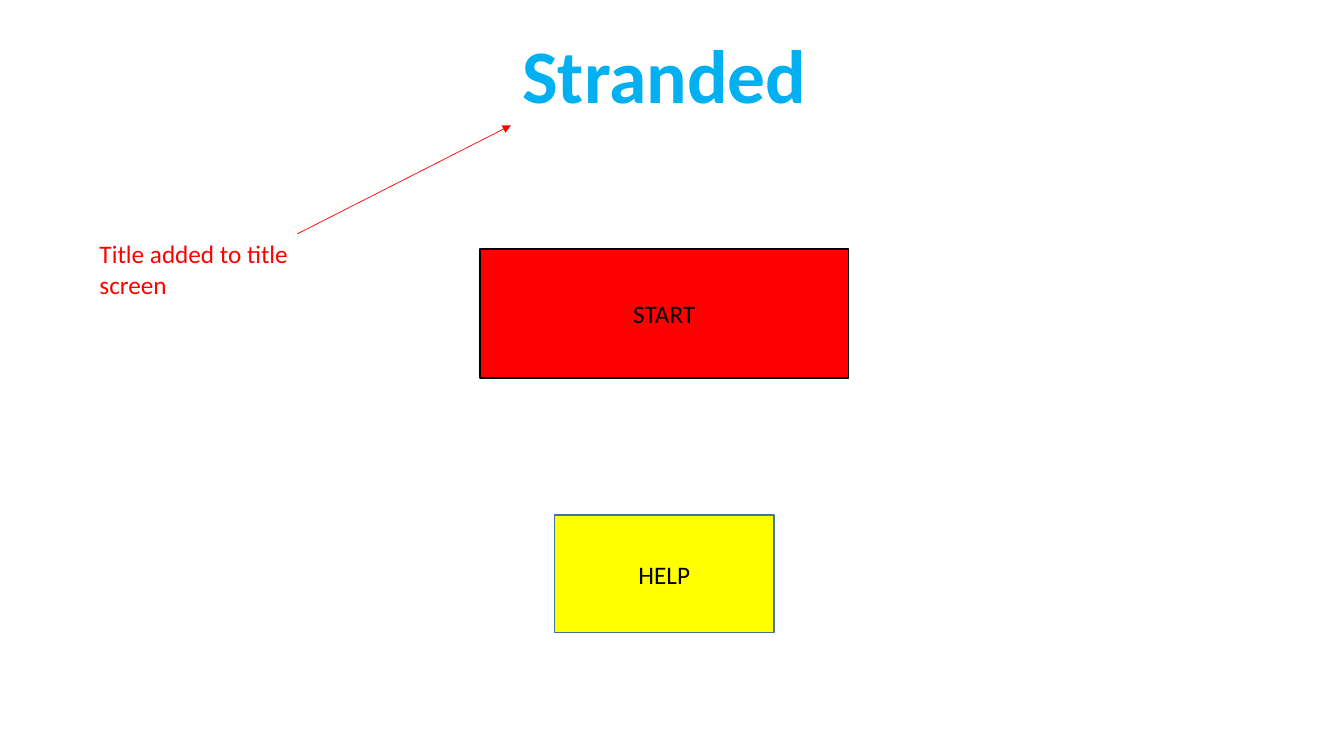
from lxml.etree import SubElement
from pptx import Presentation
from pptx.dml.color import RGBColor
from pptx.enum.shapes import MSO_CONNECTOR, MSO_SHAPE
from pptx.enum.text import MSO_ANCHOR, PP_ALIGN
from pptx.oxml.ns import qn
from pptx.util import Pt

RED = RGBColor(0xFF, 0x00, 0x00)
YELLOW = RGBColor(0xFF, 0xFF, 0x00)
SKY_BLUE = RGBColor(0x00, 0xB0, 0xF0)
STEEL_BLUE = RGBColor(0x43, 0x73, 0x9E)
BLACK = RGBColor(0x00, 0x00, 0x00)

FONT = "Calibri"
CENTRE_X = 474.5  # shared axis of the title and both buttons


def write(frame, text, size, color, align, anchor, bold=False):
    frame.text = text
    frame.vertical_anchor = anchor
    paragraph = frame.paragraphs[0]
    paragraph.alignment = align
    paragraph.font.name = FONT
    paragraph.font.size = Pt(size)
    paragraph.font.bold = bold
    paragraph.font.color.rgb = color


def set_title(slide, text, top, width, height):
    title = slide.shapes.title
    title.left, title.top = Pt(CENTRE_X - width / 2), Pt(top)
    title.width, title.height = Pt(width), Pt(height)
    title.text_frame.word_wrap = False
    write(title.text_frame, text, 54, SKY_BLUE, PP_ALIGN.CENTER, MSO_ANCHOR.TOP, bold=True)
    title.text_frame.paragraphs[0].line_spacing = 1.0


def add_button(slide, label, top, width, height, fill, outline):
    button = slide.shapes.add_shape(
        MSO_SHAPE.RECTANGLE, Pt(CENTRE_X - width / 2), Pt(top), Pt(width), Pt(height))
    button.shadow.inherit = False
    button.fill.solid()
    button.fill.fore_color.rgb = fill
    button.line.color.rgb = outline
    button.line.width = Pt(1)
    write(button.text_frame, label, 18, BLACK, PP_ALIGN.CENTER, MSO_ANCHOR.MIDDLE)


def add_note(slide, text, left, top, width, height):
    note = slide.shapes.add_textbox(Pt(left), Pt(top), Pt(width), Pt(height))
    note.text_frame.word_wrap = True
    write(note.text_frame, text, 18, RED, PP_ALIGN.LEFT, MSO_ANCHOR.TOP)


def add_arrow(slide, start, end):
    arrow = slide.shapes.add_connector(
        MSO_CONNECTOR.STRAIGHT, *(Pt(value) for value in (*start, *end)))
    arrow.line.color.rgb = RED
    arrow.line.width = Pt(0.5)
    SubElement(arrow.line._get_or_add_ln(), qn("a:tailEnd"), type="triangle")
    SubElement(arrow._element.spPr, qn("a:effectLst"))


def main():
    presentation = Presentation()
    presentation.slide_width, presentation.slide_height = Pt(960), Pt(540)
    title_only = presentation.slide_layouts[5]
    slide = presentation.slides.add_slide(title_only)

    set_title(slide, "Stranded", top=16.5, width=220, height=73)
    add_button(slide, "START", 178, 263, 92, RED, BLACK)
    add_button(slide, "HELP", 368, 157, 84, YELLOW, STEEL_BLUE)
    add_note(slide, "Title added to title screen", 64, 167, 194.5, 51)
    add_arrow(slide, start=(212.5, 167), end=(365, 89.5))

    presentation.save("out.pptx")


if __name__ == "__main__":
    main()
